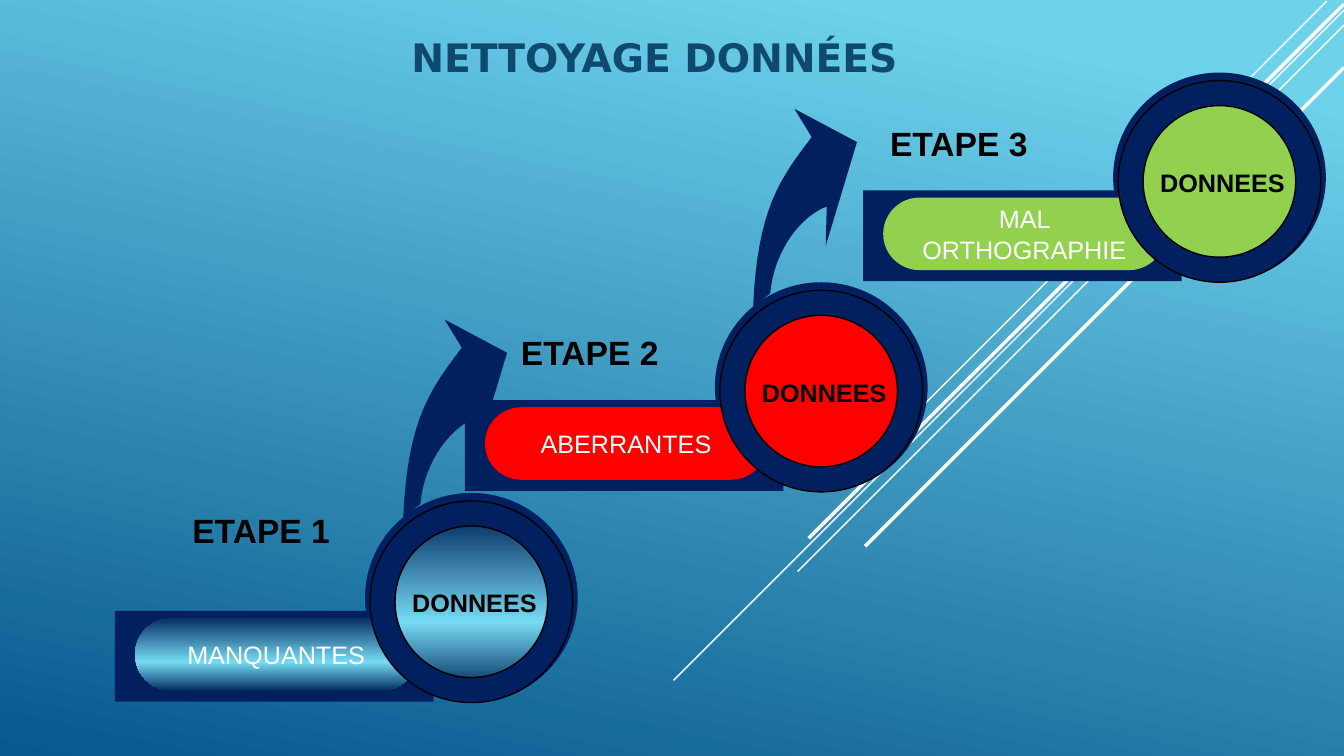
from dataclasses import dataclass

from lxml import etree
from pptx import Presentation
from pptx import util as u
from pptx.dml.color import RGBColor
from pptx.enum import shapes, text
from pptx.oxml.ns import qn

SHAPE = shapes.MSO_SHAPE


@dataclass(frozen=True)
class Theme:
    navy: str = "002060"
    black: str = "000000"
    white: str = "FFFFFF"
    title: str = "0F496F"
    red: str = "FF0000"
    green: str = "92D050"
    sky: tuple = ((10, "6ED2EB"), (100, "06588E"))
    shine: tuple = ((0, "052F61"), (61, "76DBF4"), (100, "052F61"))
    body_font: str = "Arial"
    title_font: str = "DejaVu Sans"
    title_size: int = 28
    step_size: int = 24
    body_size: int = 18


def curve(start, control_1, control_2, end, pieces=16):
    """Return points along a cubic Bezier curve, without its start."""
    points = []
    for i in range(1, pieces + 1):
        t = i / pieces
        weights = ((1 - t) ** 3, 3 * t * (1 - t) ** 2, 3 * t**2 * (1 - t), t**3)
        corners = (start, control_1, control_2, end)
        points.append(tuple(sum(w * c[axis] for w, c in zip(weights, corners))
                            for axis in (0, 1)))
    return points


class Canvas:
    def __init__(self, page, theme):
        self.page = page
        self.theme = theme

    def paint(self, fill, owner, colour, angle=90):
        """Fill with one colour, or with (percent, colour) stops at a clockwise angle."""
        if isinstance(colour, str):
            fill.solid()
            fill.fore_color.rgb = RGBColor.from_string(colour)
            return
        fill.gradient()
        fill.gradient_angle = 360 - angle
        stops = next(owner.iter(qn("a:gsLst")))
        for old in list(stops):
            stops.remove(old)
        for percent, value in colour:
            stop = etree.SubElement(stops, qn("a:gs"), pos=str(percent * 1000))
            etree.SubElement(stop, qn("a:srgbClr"), val=value)

    def background(self, colour, angle):
        self.paint(self.page.background.fill, self.page._element, colour, angle)

    def finish(self, shape, colour, outline=None):
        shape.shadow.inherit = False
        self.paint(shape.fill, shape._element, colour)
        if outline:
            shape.line.color.rgb = RGBColor.from_string(outline)
            shape.line.width = u.Pt(1)
        else:
            shape.line.fill.background()

    def shape(self, kind, left, top, width, height, colour, outline=None, adjust=None):
        shape = self.page.shapes.add_shape(
            kind, *map(u.Inches, (left, top, width, height)))
        if adjust is not None:
            shape.adjustments[0] = adjust
        self.finish(shape, colour, outline)
        return shape

    def line(self, start, end, weight):
        line = self.page.shapes.add_connector(
            shapes.MSO_CONNECTOR.STRAIGHT, *map(u.Inches, start + end))
        line.line.color.rgb = RGBColor.from_string(self.theme.white)
        line.line.width = u.Pt(weight)
        etree.SubElement(line._element.spPr, qn("a:effectLst"))

    def set_words(self, box, words, size, colour, bold=False, font=None,
                  anchor=text.MSO_ANCHOR.MIDDLE):
        frame = box.text_frame
        frame.word_wrap = True
        frame.vertical_anchor = anchor
        frame.text = words
        para = frame.paragraphs[0]
        para.alignment = text.PP_ALIGN.CENTER
        para.font.name = font or self.theme.body_font
        para.font.size = u.Pt(size)
        para.font.bold = bold
        para.font.color.rgb = RGBColor.from_string(colour)

    def label(self, words, left, top, width, height, size):
        box = self.page.shapes.add_textbox(
            *map(u.Inches, (left, top, width, height)))
        self.set_words(box, words, size, self.theme.black, bold=True,
                       anchor=text.MSO_ANCHOR.TOP)
        box.text_frame.auto_size = text.MSO_AUTO_SIZE.SHAPE_TO_FIT_TEXT

    def title(self, words, left, top, width, height):
        box = self.page.shapes.title
        box.left, box.top, box.width, box.height = map(
            u.Inches, (left, top, width, height))
        self.set_words(box, words, self.theme.title_size, self.theme.title,
                       bold=True, font=self.theme.title_font)
        box.text_frame.auto_size = text.MSO_AUTO_SIZE.NONE

    def arrow(self, x, y):
        """Draw the curved arrow that rises from the disc at x, y."""
        tail, tip = (0.38, 0.25), (0.96, -1.44)
        outline = [tail, *curve(tail, (0.42, -0.74), (0.66, -1.04), tip),
                   (0.79, -1.72), (1.41, -1.39), (1.1, -0.36), (1.11, -0.75),
                   *curve((1.11, -0.75), (0.88, -0.67), (0.59, -0.34), (0.55, 0.11))]
        points = [(u.Inches(x + dx), u.Inches(y + dy)) for dx, dy in outline]
        builder = self.page.shapes.build_freeform(*points[0])
        builder.add_line_segments(points[1:], close=True)
        self.finish(builder.convert_to_shape(), self.theme.navy)

    def step(self, x, y, number, label_at, problem, colour, has_arrow):
        """Draw one step, placed from the top left corner of its disc."""
        theme = self.theme
        self.shape(SHAPE.OVAL, x, y, 2.11, 2.08, theme.navy)
        if has_arrow:
            self.arrow(x, y)
        self.shape(SHAPE.ROUNDED_RECTANGLE, x - 2.48, y + 1.17, 3.16, 0.9,
                   theme.navy, adjust=0)
        pill = self.shape(SHAPE.ROUNDED_RECTANGLE, x - 2.28, y + 1.24, 2.8, 0.72,
                          colour, adjust=0.5)
        self.set_words(pill, problem, theme.body_size, theme.white)
        self.shape(SHAPE.OVAL, x + 0.11, y + 0.25, 1.82, 1.69, colour)
        self.shape(SHAPE.DONUT, x + 0.05, y + 0.08, 2.01, 2, theme.navy,
                   outline=theme.black, adjust=0.124)
        self.label("DONNEES", x + 0.04, y + 0.89, 2.09, 0.4, theme.body_size)
        self.label(f"ETAPE {number}", *label_at, 1.8, 0.5, theme.step_size)


def main():
    deck = Presentation()
    deck.slide_width, deck.slide_height = u.Inches(13.33), u.Inches(7.5)
    theme = Theme()
    canvas = Canvas(deck.slides.add_slide(deck.slide_layouts[5]), theme)
    canvas.background(theme.sky, 102)

    for start, end, weight in (
        ((13.16, 0.01), (9, 4.18), 1),
        ((13.33, 0.1), (6.68, 6.75), 1),
        ((13.33, 0.25), (7.91, 5.67), 1),
        ((13.33, 0.04), (8.02, 5.34), 2.5),
        ((13.33, 0.67), (8.58, 5.42), 2.5),
    ):
        canvas.line(start, end, weight)

    canvas.title("NETTOYAGE DONNÉES", 2.87, 0.18, 7.24, 0.76)
    steps = (
        (3.62, 4.89, (1.69, 5.01), "MANQUANTES", theme.shine),
        (7.09, 2.8, (4.95, 3.24), "ABERRANTES", theme.red),
        (11.04, 0.72, (8.61, 1.17), "MAL ORTHOGRAPHIE", theme.green),
    )
    for number, (x, y, label_at, problem, colour) in enumerate(steps, 1):
        canvas.step(x, y, number, label_at, problem, colour,
                    has_arrow=number < len(steps))
    deck.save("out.pptx")


if __name__ == "__main__":
    main()
